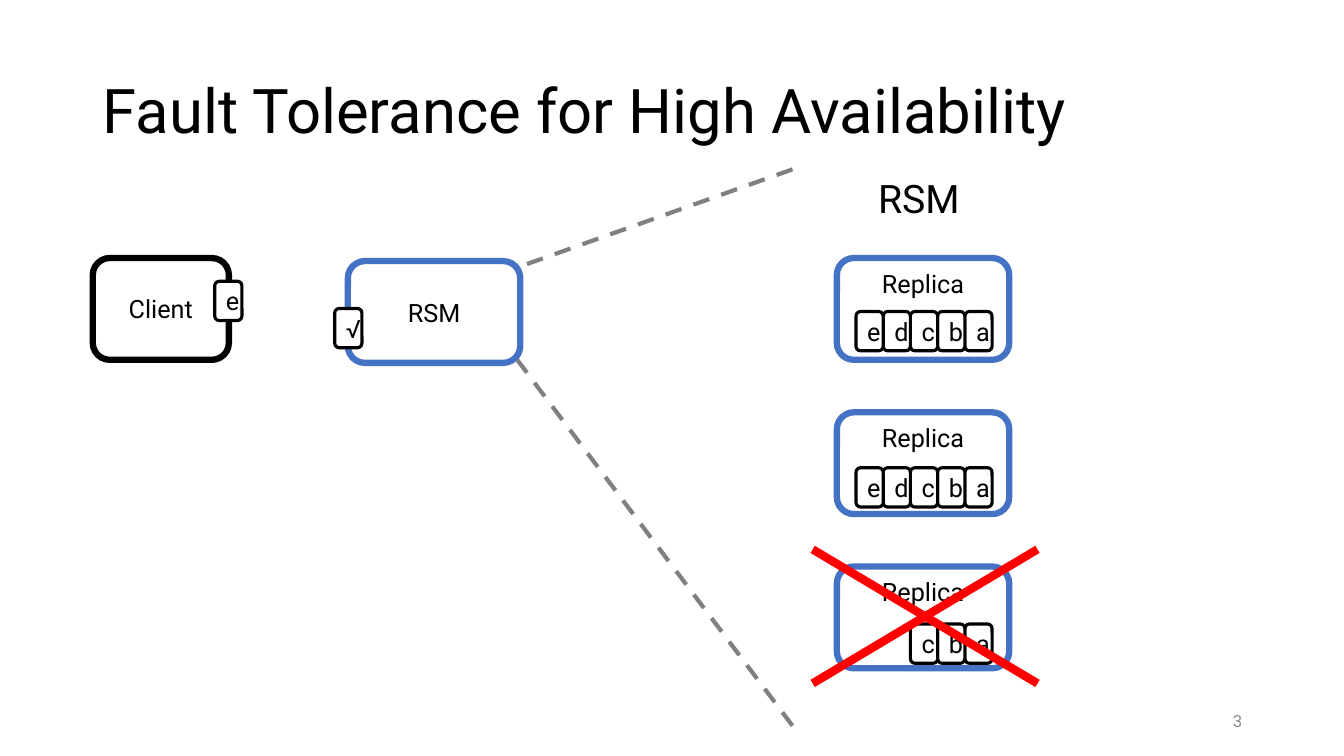
import pptx
import pptx.util
import pptx.dml.color
import pptx.enum.dml
import pptx.enum.shapes
import pptx.enum.text
import pptx.oxml.ns
import lxml.etree

Inches = pptx.util.Inches
Pt = pptx.util.Pt
RGBColor = pptx.dml.color.RGBColor
Align = pptx.enum.text.PP_ALIGN
Anchor = pptx.enum.text.MSO_ANCHOR

BLACK = RGBColor(0x00, 0x00, 0x00)
WHITE = RGBColor(0xFF, 0xFF, 0xFF)
BLUE = RGBColor(0x44, 0x72, 0xC4)
RED = RGBColor(0xFF, 0x00, 0x00)
GRAY = RGBColor(0x80, 0x80, 0x80)
LIGHT_GRAY = RGBColor(0x8C, 0x8C, 0x8C)


class Painter:
    font = "Roboto"

    def __init__(self, slide):
        self.s = slide

    def fill_text(self, tf, text, size, color, align, anchor):
        tf.vertical_anchor = anchor
        p = tf.paragraphs[0]
        p.alignment = align
        r = p.add_run()
        r.text = text
        r.font.name = self.font
        r.font.size = Pt(size)
        r.font.color.rgb = color
        return p

    def text(self, box, text, size, color=BLACK, align=Align.LEFT,
             anchor=Anchor.MIDDLE, wrap=True):
        sp = self.s.shapes.add_textbox(*map(Inches, box))
        sp.text_frame.word_wrap = wrap
        return self.fill_text(sp.text_frame, text, size, color, align, anchor)

    def box(self, box, text, color, width=4.5, anchor=Anchor.MIDDLE):
        sp = self.s.shapes.add_shape(
            pptx.enum.shapes.MSO_SHAPE.ROUNDED_RECTANGLE, *map(Inches, box))
        sp.shadow.inherit = False
        sp.fill.solid()
        sp.fill.fore_color.rgb = WHITE
        sp.line.color.rgb = color
        sp.line.width = Pt(width)
        self.fill_text(sp.text_frame, text, 18, BLACK, Align.CENTER, anchor)

    def command(self, left, top, text):
        """Draw one small log entry."""
        self.box((left, top, 0.27, 0.39), text, BLACK, 2.25)

    def line(self, start, end, color, width, dash=None, shapes=None):
        shapes = self.s.shapes if shapes is None else shapes
        cx = shapes.add_connector(pptx.enum.shapes.MSO_CONNECTOR.STRAIGHT,
                                  *map(Inches, start + end))
        cx.line.color.rgb = color
        cx.line.width = Pt(width)
        if dash:
            cx.line.dash_style = dash
        sp_pr = cx._element.find(pptx.oxml.ns.qn("p:spPr"))
        lxml.etree.SubElement(sp_pr, pptx.oxml.ns.qn("a:effectLst"))

    def cross(self, left, top, right, bottom):
        group = self.s.shapes.add_group_shape()
        for y1, y2 in ((top, bottom), (bottom, top)):
            self.line((left, y1), (right, y2), RED, 6, shapes=group.shapes)


def main():
    prs = pptx.Presentation()
    prs.slide_width = Inches(13.33)
    prs.slide_height = Inches(7.5)
    s = prs.slides.add_slide(prs.slide_layouts[6])
    paint = Painter(s)

    title = paint.text((0.92, 0.4, 11.5, 1.45),
                       "Fault Tolerance for High Availability", 44)
    title.line_spacing = 0.9
    paint.text((9.42, 6.95, 3, 0.4), "3", 12, LIGHT_GRAY, Align.RIGHT)

    paint.box((0.92, 2.56, 1.35, 1.01), "Client", BLACK)
    paint.text((8.61, 1.68, 1.08, 0.57), "RSM", 28, anchor=Anchor.TOP,
               wrap=False)

    for row, log in enumerate(("abcde", "abcde", "abc")):
        paint.box((8.3, 2.56 + 1.53 * row, 1.71, 1.01), "Replica", BLUE,
                  anchor=Anchor.TOP)
        for i, name in enumerate(log):
            paint.command(9.57 - 0.27 * i, 3.09 + 1.55 * row, name)
    paint.cross(8.06, 5.45, 10.29, 6.78)

    paint.box((3.45, 2.59, 1.71, 1.01), "RSM", BLUE)
    dash = pptx.enum.dml.MSO_LINE.DASH
    paint.line((7.86, 1.68), (5.17, 2.64), GRAY, 3, dash)
    paint.line((7.86, 7.2), (5.13, 3.57), GRAY, 3, dash)
    paint.command(2.13, 2.79, "e")
    paint.command(3.32, 3.06, "√")

    prs.save("out.pptx")


if __name__ == "__main__":
    main()
